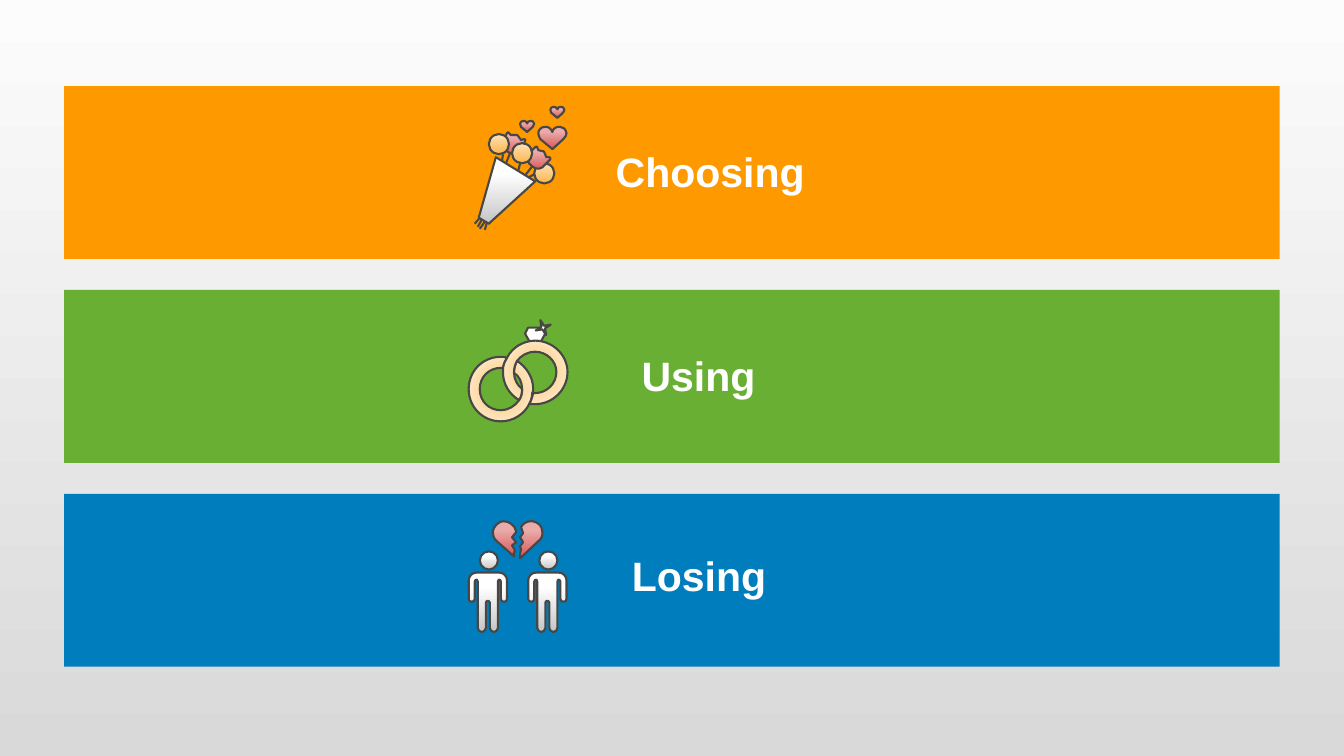
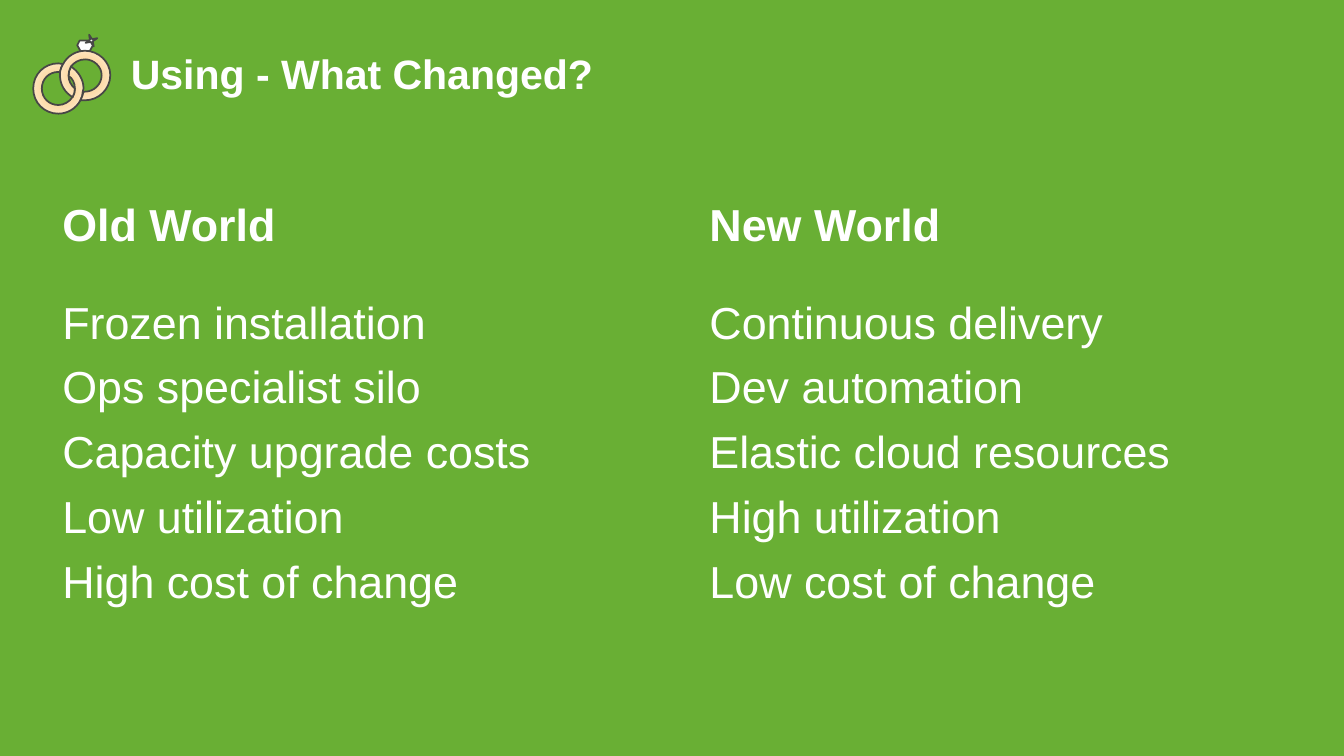
"""Builds a band overview slide and an old-versus-new comparison slide."""
from dataclasses import dataclass
from enum import Enum
from typing import NamedTuple

from lxml import etree
from pptx import Presentation
from pptx.dml.color import RGBColor
from pptx.dml.fill import FillFormat
from pptx.enum.shapes import MSO_CONNECTOR, MSO_SHAPE
from pptx.enum.text import MSO_AUTO_SIZE, PP_ALIGN
from pptx.oxml.ns import qn
from pptx.slide import Slide
from pptx.util import Emu, Pt

RECTANGLE, OVAL, STAR = MSO_SHAPE.RECTANGLE, MSO_SHAPE.OVAL, MSO_SHAPE.STAR_4_POINT
STRAIGHT = MSO_CONNECTOR.STRAIGHT
LEFT, CENTER = PP_ALIGN.LEFT, PP_ALIGN.CENTER
GROW, FIXED = MSO_AUTO_SIZE.SHAPE_TO_FIT_TEXT, MSO_AUTO_SIZE.NONE

CELL = 9144
COLUMNS, ROWS = 1333.33, 750


class Paint(NamedTuple):
    """A solid colour, or a gradient when it ends in another colour."""
    start: str
    end: str = ""
    start_at: float = 0
    radial: bool = False


@dataclass(frozen=True)
class Theme:
    """Colours, paints, font and type sizes of the deck."""
    font: str = "Arial"
    title_size: float = 29.3
    body_size: float = 32
    body_gap: float = 8
    text: str = "FFFFFF"
    ink: str = "474746"
    orange: Paint = Paint("FF9900")
    green: Paint = Paint("69AF34")
    blue: Paint = Paint("007DBC")
    backdrop: Paint = Paint("FCFCFC", "D9D9D9")
    white: Paint = Paint("FFFFFF")
    silver: Paint = Paint("FFFFFF", "C5C5C5", 0.24)
    rose: Paint = Paint("EBABAB", "D65757", 0.24)
    honey: Paint = Paint("FEE2B7", "FCB64C")
    gold: Paint = Paint("FDD394", "FEF0DB", 0.27, True)


THEME = Theme()


class Form(Enum):
    """How the geometry of a part is read."""
    OUTLINE = "outline"
    OVAL = "oval"
    STAR = "star"
    STEM = "stem"


class Box(NamedTuple):
    """Left, top, width and height in grid cells."""
    left: float
    top: float
    width: float
    height: float

    def emu(self) -> list[Emu]:
        """Returns the four lengths in slide units."""
        return [to_emu(length) for length in self]


@dataclass(frozen=True)
class Part:
    """One piece of an icon, in cells from the icon's corner."""
    form: Form
    geometry: str
    paint: Paint = THEME.white
    dx: float = 0
    dy: float = 0
    zoom: float = 1


@dataclass(frozen=True)
class Band:
    """A coloured band with its icon and label."""
    label: str
    paint: Paint
    icon: tuple[Part, ...]
    icon_left: float
    icon_top: float
    label_box: Box


@dataclass(frozen=True)
class World:
    """One column of the comparison."""
    heading: str
    points: tuple[str, ...]
    left: float
    heading_width: float


HEART = ("M 14 5 C 14 2 18 -1 22 0 C 25 0 27 2 28 6 C 28 8 27 10 25 12 L 14 22 L 2 12 "
         "C 1 10 0 8 0 6 C 0 3 3 0 6 0 C 10 -1 13 2 14 5")
LOW_BUD = ("M 29 33 C 27 38 30 44 35 46 C 40 48 45 45 48 40 L 50 34 C 51 33 50 32 49 32 "
           "L 46 33 L 43 29 C 43 28 42 28 41 28 L 36 28 L 34 26 C 34 25 33 25 32 26")
HIGH_BUD = ("M 55 45 C 51 50 52 56 57 59 C 61 63 67 62 70 57 L 75 52 C 75 51 75 50 74 50 "
            "L 71 50 L 69 45 C 69 44 68 44 67 44 L 63 43 L 62 40 C 62 39 60 39 60 40")
GEM = "M 71 23 L 61 23 L 56 14 L 59 8 L 73 8 L 76 14"
LEFT_RING = ("M 45 53 L 45 52 C 45 48 46 45 48 41 C 57 47 64 57 64 69 C 64 70 64 72 63 73 "
             "C 63 77 62 81 60 84 C 55 94 44 101 32 101 C 14 101 0 87 0 69 "
             "C 0 51 14 37 32 37 C 34 37 36 37 38 38 C 36 41 35 44 34 48 "
             "C 33 48 33 48 32 48 C 20 48 11 57 11 69 C 11 81 20 90 32 90 "
             "C 39 90 46 86 50 80 C 52 77 53 73 53 69 C 53 62 50 56 45 53")
RIGHT_RING = ("M 53 69 C 48 65 45 59 45 53 L 45 52 C 45 48 46 45 48 41 "
              "C 52 36 58 32 66 32 C 77 32 87 41 87 52 C 87 64 77 73 66 73 "
              "C 65 73 64 73 64 73 C 63 77 62 81 60 84 C 62 84 64 84 66 84 "
              "C 83 84 98 70 98 52 C 98 35 83 21 66 21 C 54 21 43 28 38 38 "
              "C 36 41 35 44 34 48 C 34 50 34 51 34 52 C 34 64 40 74 50 80 "
              "C 52 77 53 73 53 69")
LEFT_HALF = ("M 47 10 C 46 4 40 0 34 0 C 29 1 25 5 24 10 C 24 14 25 18 28 20 L 45 35 "
             "L 45 31 L 46 29 L 43 24 L 47 21 L 43 16 L 47 11")
RIGHT_HALF = ("M 51 37 L 69 20 C 72 18 74 14 73 10 C 73 5 69 1 63 0 C 58 0 54 2 52 6 "
              "L 54 12 L 51 16 L 54 21 L 51 25 L 52 28 L 51 32")
BODY = ("M 19 49 C 18 49 17 50 17 51 L 17 76 C 17 78 15 80 13 80 C 11 80 9 78 9 76 "
        "L 9 30 C 9 29 8 28 8 28 C 7 28 6 29 6 30 L 6 47 C 6 49 5 50 3 50 "
        "C 1 50 0 49 0 47 L 0 29 C 0 25 3 21 8 21 L 30 21 C 35 21 38 25 38 29 "
        "L 38 47 C 38 49 37 50 35 50 C 33 50 32 49 32 47 L 32 30 C 32 29 31 28 30 28 "
        "C 30 28 29 29 29 30 L 29 76 C 29 78 27 80 25 80 C 23 80 21 78 21 76 "
        "L 21 51 C 21 50 20 49 19 49")
CONE = "M 4 110 L 21 50 L 60 74 L 14 116"
TAILS = ("12 115 10 122", "10 114 5 121", "7 112 3 119", "5 110 0 116")

BOUQUET = (
    Part(Form.OUTLINE, HEART, THEME.rose, 63, 20),
    Part(Form.OUTLINE, LOW_BUD, THEME.rose),
    Part(Form.STEM, "35 46 31 56"),
    Part(Form.OUTLINE, CONE, THEME.silver),
    Part(Form.OVAL, "59 56 20 20", THEME.honey),
    Part(Form.OUTLINE, HIGH_BUD, THEME.rose),
    Part(Form.STEM, "57 59 50 68"),
    Part(Form.STEM, "59 67 53 70"),
    Part(Form.OVAL, "37 36 20 20", THEME.honey),
    Part(Form.STEM, "45 56 43 64"),
    Part(Form.OVAL, "14 27 20 20", THEME.honey),
    Part(Form.STEM, "28 47 27 54"),
    *(Part(Form.STEM, tail) for tail in TAILS),
    *(Part(Form.OUTLINE, HEART, THEME.rose, dx, dy, 0.5) for dx, dy in ((45, 14), (75, 0))),
)
RINGS = (
    Part(Form.OUTLINE, GEM),
    Part(Form.OUTLINE, LEFT_RING, THEME.gold),
    Part(Form.OUTLINE, RIGHT_RING, THEME.gold),
    Part(Form.STAR, "66 0 16 16"),
)
COUPLE = (
    *(Part(Form.OUTLINE, half, THEME.rose) for half in (LEFT_HALF, RIGHT_HALF)),
    *(Part(form, geometry, THEME.silver, dx, 30)
      for dx in (0, 59)
      for form, geometry in ((Form.OUTLINE, BODY), (Form.OVAL, "11 0 18 18"))),
)

BANDS = (
    Band("Choosing", THEME.orange, BOUQUET, 471, 106, Box(600, 140, 209, 59)),
    Band("Using", THEME.green, RINGS, 465, 317, Box(626, 343, 134, 59)),
    Band("Losing", THEME.blue, COUPLE, 465, 517, Box(616, 541, 155, 59)),
)
WORLDS = (
    World("Old World", ("Frozen installation", "Ops specialist silo", "Capacity upgrade costs",
                        "Low utilization", "High cost of change"), 52, 234),
    World("New World", ("Continuous delivery", "Dev automation", "Elastic cloud resources",
                        "High utilization", "Low cost of change"), 694, 258),
)


def to_emu(cells: float) -> Emu:
    """Converts grid cells to slide units."""
    return Emu(round(cells * CELL))


def apply_paint(fill: FillFormat, paint: Paint) -> None:
    """Fills with a solid colour or a gradient."""
    if not paint.end:
        fill.solid()
        fill.fore_color.rgb = RGBColor.from_string(paint.start)
        return
    fill.gradient()
    fill.gradient_angle = 270
    ends = ((paint.start, paint.start_at), (paint.end, 1))
    for stop, (color, position) in zip(fill.gradient_stops, ends):
        stop.color.rgb = RGBColor.from_string(color)
        stop.position = position


def make_radial(shape) -> None:
    """Turns a linear gradient into one spreading from the centre."""
    linear = next(shape.element.iter(qn("a:lin")))
    circle = etree.Element(qn("a:path"), {"path": "circle"})
    etree.SubElement(circle, qn("a:fillToRect"), dict.fromkeys("ltrb", "50000"))
    linear.getparent().replace(linear, circle)


def bend(shape, commands: list[str]) -> None:
    """Joins the three segments of each curve command into one Bézier curve."""
    segments = iter(list(shape.element.iter(qn("a:lnTo"))))
    for command in commands:
        segment = next(segments)
        if command == "C":
            segment.tag = qn("a:cubicBezTo")
            for _ in range(2):
                extra = next(segments)
                segment.append(extra[0])
                extra.getparent().remove(extra)


def draw_part(slide: Slide, part: Part, left: float, top: float, zoom: float,
              line_width: float) -> None:
    """Draws one part of an icon."""
    left, top = left + part.dx * zoom, top + part.dy * zoom
    scale = zoom * part.zoom

    def place(x: float, y: float) -> tuple[Emu, Emu]:
        return to_emu(left + x * scale), to_emu(top + y * scale)

    words = part.geometry.split()
    numbers = [float(word) for word in words if not word.isalpha()]
    if part.form is Form.OUTLINE:
        first, *others = [place(x, y) for x, y in zip(numbers[::2], numbers[1::2])]
        builder = slide.shapes.build_freeform(*first)
        builder.add_line_segments(others, close=True)
        shape = builder.convert_to_shape()
        bend(shape, [word for word in words if word in "LC"])
    elif part.form is Form.STEM:
        shape = slide.shapes.add_connector(STRAIGHT, *place(*numbers[:2]), *place(*numbers[2:]))
        etree.SubElement(shape.element.spPr, qn("a:effectLst"))
    else:
        preset = OVAL if part.form is Form.OVAL else STAR
        width, height = (to_emu(length * scale) for length in numbers[2:])
        shape = slide.shapes.add_shape(preset, *place(*numbers[:2]), width, height)
        shape.rotation = 338.7 if part.form is Form.STAR else 0
    shape.line.color.rgb = RGBColor.from_string(THEME.ink)
    shape.line.width = Pt(line_width)
    if part.form is not Form.STEM:
        shape.shadow.inherit = False
        apply_paint(shape.fill, part.paint)
        if part.paint.radial:
            make_radial(shape)


def draw_icon(slide: Slide, icon: tuple[Part, ...], left: float, top: float, *,
              zoom: float = 1, line_width: float = 1.5) -> None:
    """Draws all parts of an icon from back to front."""
    for part in icon:
        draw_part(slide, part, left, top, zoom, line_width)


def add_text(slide: Slide, box: Box, *lines: str, size: float = THEME.title_size,
             bold: bool = True, align: PP_ALIGN = LEFT, wrap: bool = False,
             gap: float = 0) -> None:
    """Adds a text box with one paragraph per line."""
    frame = slide.shapes.add_textbox(*box.emu()).text_frame
    frame.word_wrap = wrap
    frame.auto_size = FIXED if wrap else GROW
    for index, line in enumerate(lines):
        paragraph = frame.add_paragraph() if index else frame.paragraphs[0]
        paragraph.alignment = align
        paragraph.space_before = Pt(gap)
        run = paragraph.add_run()
        run.text = line
        run.font.name, run.font.size, run.font.bold = THEME.font, Pt(size), bold
        run.font.color.rgb = RGBColor.from_string(THEME.text)


def add_slide(deck, backdrop: Paint) -> Slide:
    """Adds a blank slide with the given background."""
    slide = deck.slides.add_slide(deck.slide_layouts[6])
    apply_paint(slide.background.fill, backdrop)
    return slide


def build_overview(deck) -> None:
    """Builds the three stacked bands."""
    slide = add_slide(deck, THEME.backdrop)
    for row, band in enumerate(BANDS):
        stripe = slide.shapes.add_shape(RECTANGLE, *Box(63.6, 85.5 + 202.2 * row,
                                                        1206, 171.5).emu())
        stripe.shadow.inherit = False
        stripe.line.fill.background()
        apply_paint(stripe.fill, band.paint)
        add_text(slide, band.label_box, band.label, align=CENTER)
        draw_icon(slide, band.icon, band.icon_left, band.icon_top)


def build_comparison(deck) -> None:
    """Builds the two columns of the comparison."""
    slide = add_slide(deck, THEME.green)
    for world in WORLDS:
        add_text(slide, Box(world.left, 287, 576, 327), *world.points, size=THEME.body_size,
                 bold=False, wrap=True, gap=THEME.body_gap)
        add_text(slide, Box(world.left, 190, world.heading_width, 64), world.heading,
                 size=THEME.body_size, gap=THEME.body_gap)
    draw_icon(slide, RINGS, 33, 34, zoom=0.78, line_width=1.25)
    add_text(slide, Box(120, 43, 483, 59), "Using - What Changed?")


def main() -> None:
    """Builds and saves the deck."""
    deck = Presentation()
    deck.slide_width, deck.slide_height = to_emu(COLUMNS), to_emu(ROWS)
    build_overview(deck)
    build_comparison(deck)
    deck.save("out.pptx")


if __name__ == "__main__":
    main()
